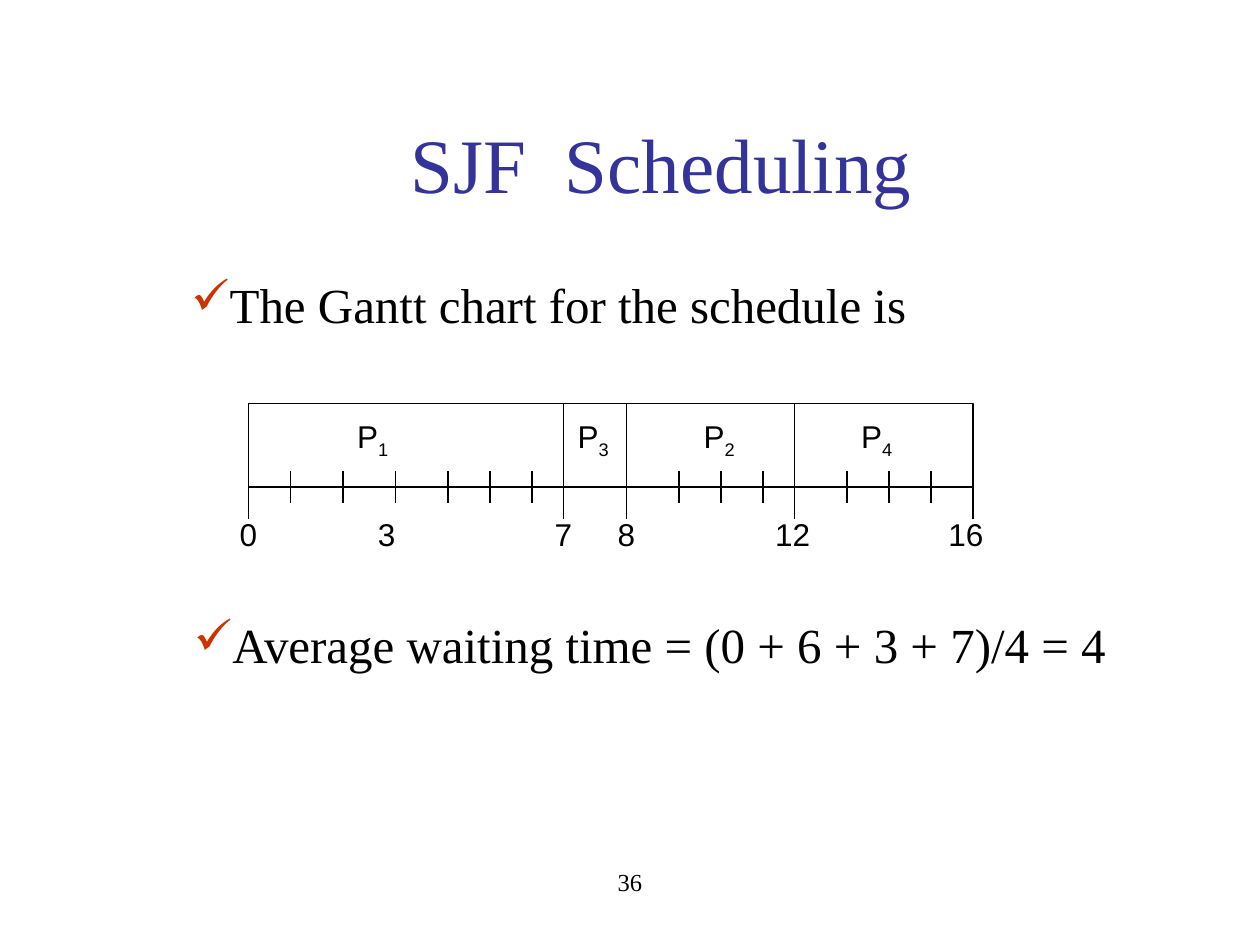
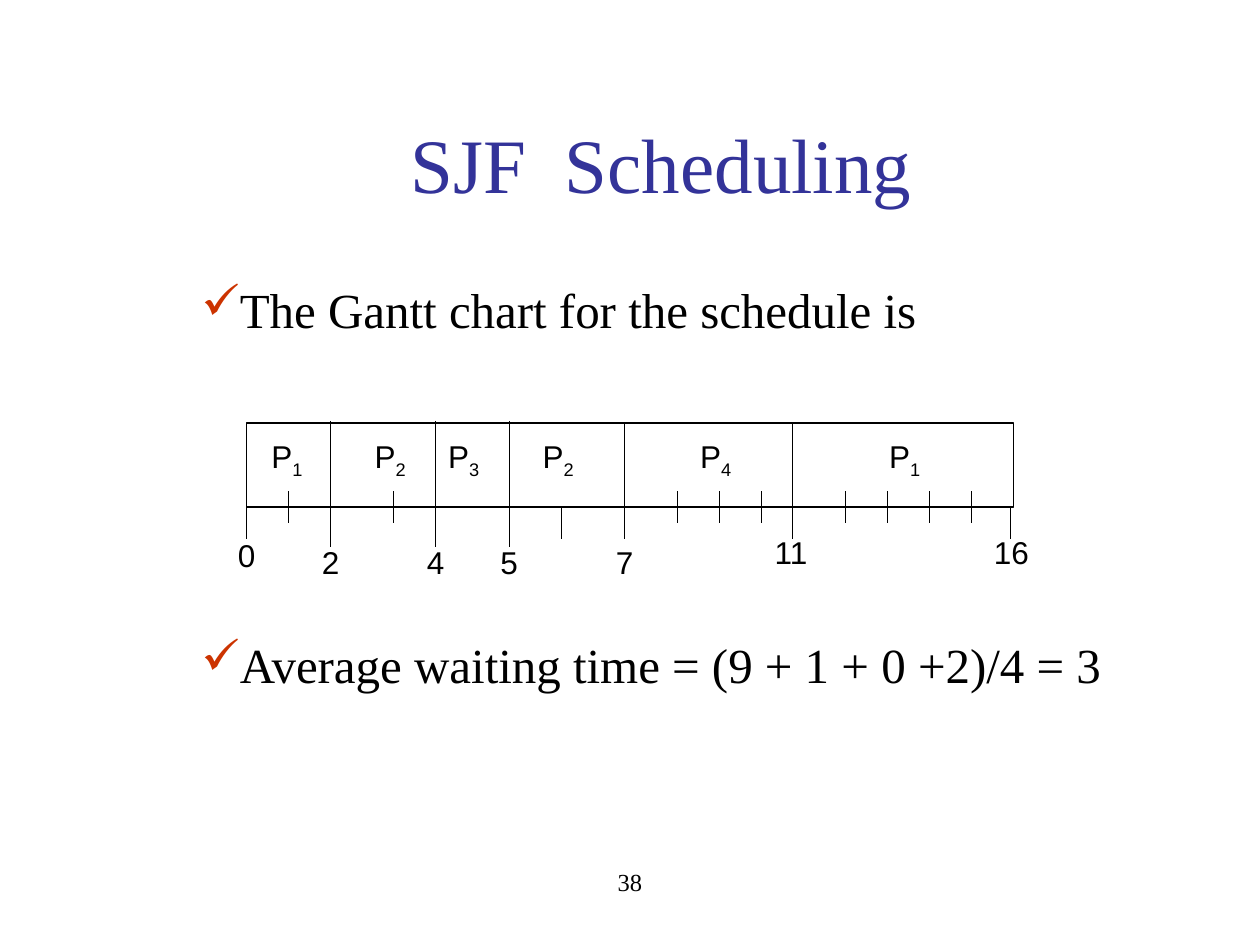
from pptx import Presentation
from pptx.dml.color import RGBColor
from pptx.enum.shapes import MSO_CONNECTOR as CONN, MSO_SHAPE as SHAPE
from pptx.enum.text import MSO_ANCHOR as ANCHOR, PP_ALIGN as ALIGN
from pptx.oxml.ns import qn
from pptx.util import Pt
from lxml.etree import SubElement

BLACK, WHITE, NAVY, RED = "000000", "FFFFFF", "333399", "CC3300"
SERIF, SANS = "Times New Roman", "Arial"
BAR_H = 48
TICK = (39, 57)
STEM = (BAR_H, 66)
DIVIDER = (0, 66)
LONG_DIVIDER = (-1, 71)

SLIDES = [
    dict(
        number="36",
        bullets=[
            (102.2, 157, "The Gantt chart for the schedule is"),
            (103.7, 351.4, "Average waiting time = (0 + 6 + 3 + 7)/4 = 4"),
        ],
        gantt=dict(
            x=142, y=230.4, w=414,
            processes=[("1", 71), ("3", 197), ("2", 269), ("4", 359)],
            times=[("0", 0, 60), ("3", 79, 60), ("7", 180, 60),
                   ("8", 216, 60), ("12", 311, 60), ("16", 410, 60)],
            marks={
                STEM: [0, 414],
                DIVIDER: [180, 216, 312],
                TICK: [24, 54, 84, 114, 138, 162, 246, 270, 294, 342, 366, 390],
            },
        ),
    ),
    dict(
        number="38",
        bullets=[
            (108, 160, "The Gantt chart for the schedule is"),
            (108, 363, "Average waiting time = (9 + 1 + 0 +2)/4 = 3"),
        ],
        gantt=dict(
            x=141, y=241.8, w=438,
            processes=[("1", 23), ("2", 82), ("3", 124),
                       ("2", 178), ("4", 268), ("1", 376)],
            times=[("0", 0, 60.5), ("2", 48, 65), ("4", 108, 65), ("5", 150, 65),
                   ("7", 216, 65), ("11", 311, 59), ("16", 437, 59)],
            marks={
                STEM: [0, 180, 436.5],
                DIVIDER: [216, 312],
                LONG_DIVIDER: [48, 108, 150],
                TICK: [24, 84, 246, 270, 294, 342, 366, 390, 414],
            },
        ),
    ),
]


def rgb(value):
    return RGBColor.from_string(value)


def add_run(p, text, size, font, color=BLACK):
    r = p.add_run()
    r.text = text
    r.font.size = Pt(size)
    r.font.name = font
    r.font.color.rgb = rgb(color)
    return r


def add_box(s, x, y, w, h, align=ALIGN.CENTER, anchor=ANCHOR.TOP):
    tf = s.shapes.add_textbox(Pt(x), Pt(y), Pt(w), Pt(h)).text_frame
    tf.word_wrap = True
    tf.vertical_anchor = anchor
    p = tf.paragraphs[0]
    p.alignment = align
    return p


def add_mark(s, x, top, bottom):
    line = s.shapes.add_connector(CONN.STRAIGHT, Pt(x), Pt(top), Pt(x), Pt(bottom))
    line.line.color.rgb = rgb(BLACK)
    line.line.width = Pt(0.75)
    SubElement(line._element.spPr, qn("a:effectLst"))


def add_bullet(s, x, y, text):
    p = add_box(s, x, y, 560, 37.5, ALIGN.LEFT)
    p.line_spacing = 0.9
    p.space_before = Pt(7)
    pPr = p._p.get_or_add_pPr()
    color = SubElement(pPr, qn("a:buClr"))
    SubElement(color, qn("a:srgbClr"), val=RED)
    SubElement(pPr, qn("a:buChar"), char="✓")
    add_run(p, text, 28, SERIF)


def add_gantt(s, x, y, w, processes, times, marks):
    bar = s.shapes.add_shape(SHAPE.RECTANGLE, Pt(x), Pt(y), Pt(w), Pt(BAR_H))
    bar.shadow.inherit = False
    bar.fill.solid()
    bar.fill.fore_color.rgb = rgb(WHITE)
    bar.line.color.rgb = rgb(BLACK)
    bar.line.width = Pt(0.75)
    for (top, bottom), offsets in marks.items():
        for dx in offsets:
            add_mark(s, x + dx, y + top, y + bottom)
    for index, dx in processes:
        p = add_box(s, x + dx - 25, y + 4, 50, 32, anchor=ANCHOR.MIDDLE)
        add_run(p, "P", 18, SANS)
        sub = add_run(p, index, 18, SANS)
        sub.font._element.set("baseline", "-25000")
    for time, dx, dy in times:
        p = add_box(s, x + dx - 25, y + dy, 50, 29, anchor=ANCHOR.MIDDLE)
        add_run(p, time, 18, SANS)


def add_schedule_slide(prs, number, bullets, gantt):
    s = prs.slides.add_slide(prs.slide_layouts[6])
    title = add_box(s, 72, 48, 612, 90, anchor=ANCHOR.MIDDLE)
    add_run(title, "SJF  Scheduling", 44, SERIF, NAVY)
    for bullet in bullets:
        add_bullet(s, *bullet)
    add_gantt(s, **gantt)
    footer = add_box(s, 246, 492, 228, 36)
    add_run(footer, number, 14, SERIF)


def main():
    prs = Presentation()
    prs.slide_width, prs.slide_height = Pt(720), Pt(540)
    for slide in SLIDES:
        add_schedule_slide(prs, **slide)
    prs.save("out.pptx")


if __name__ == "__main__":
    main()
